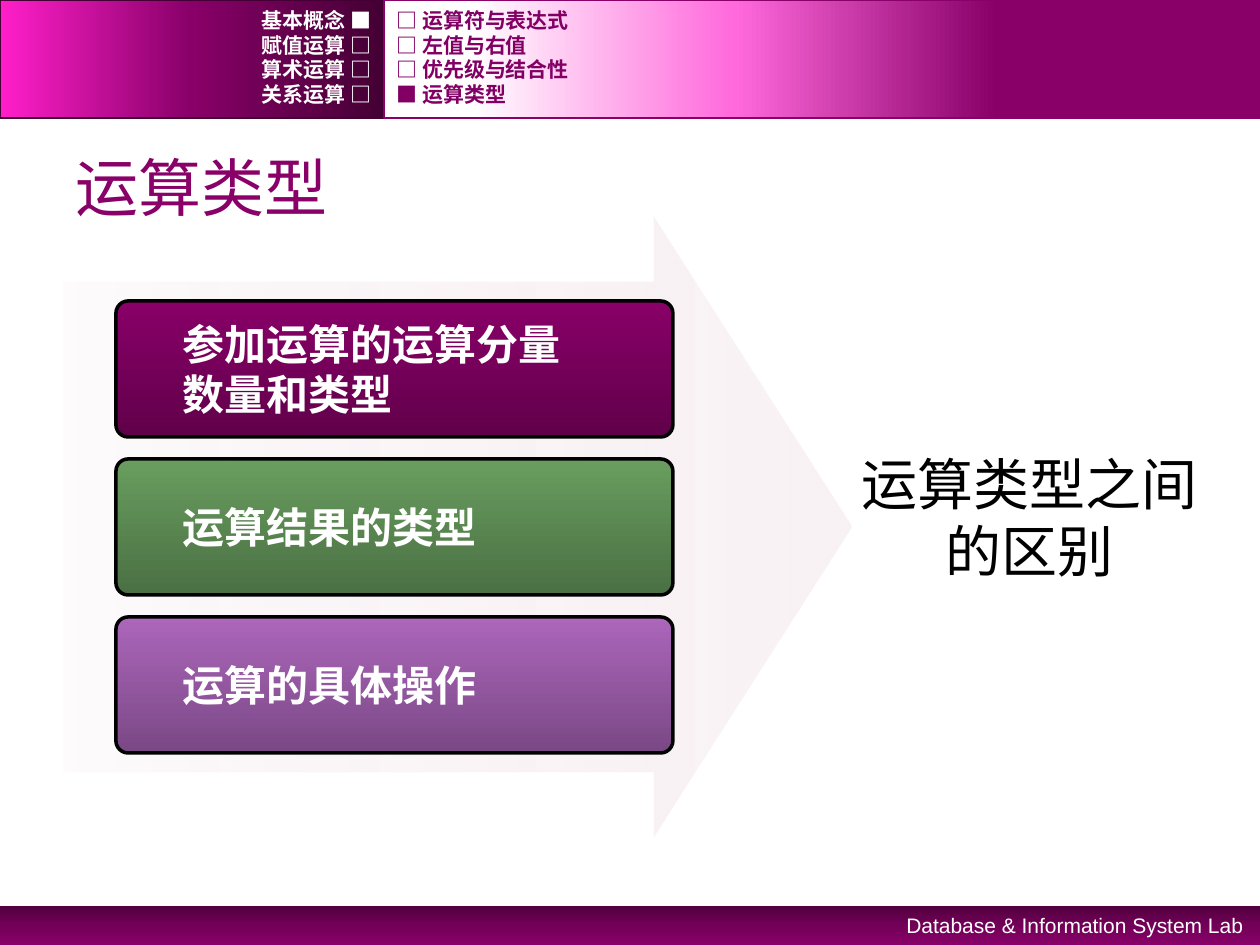
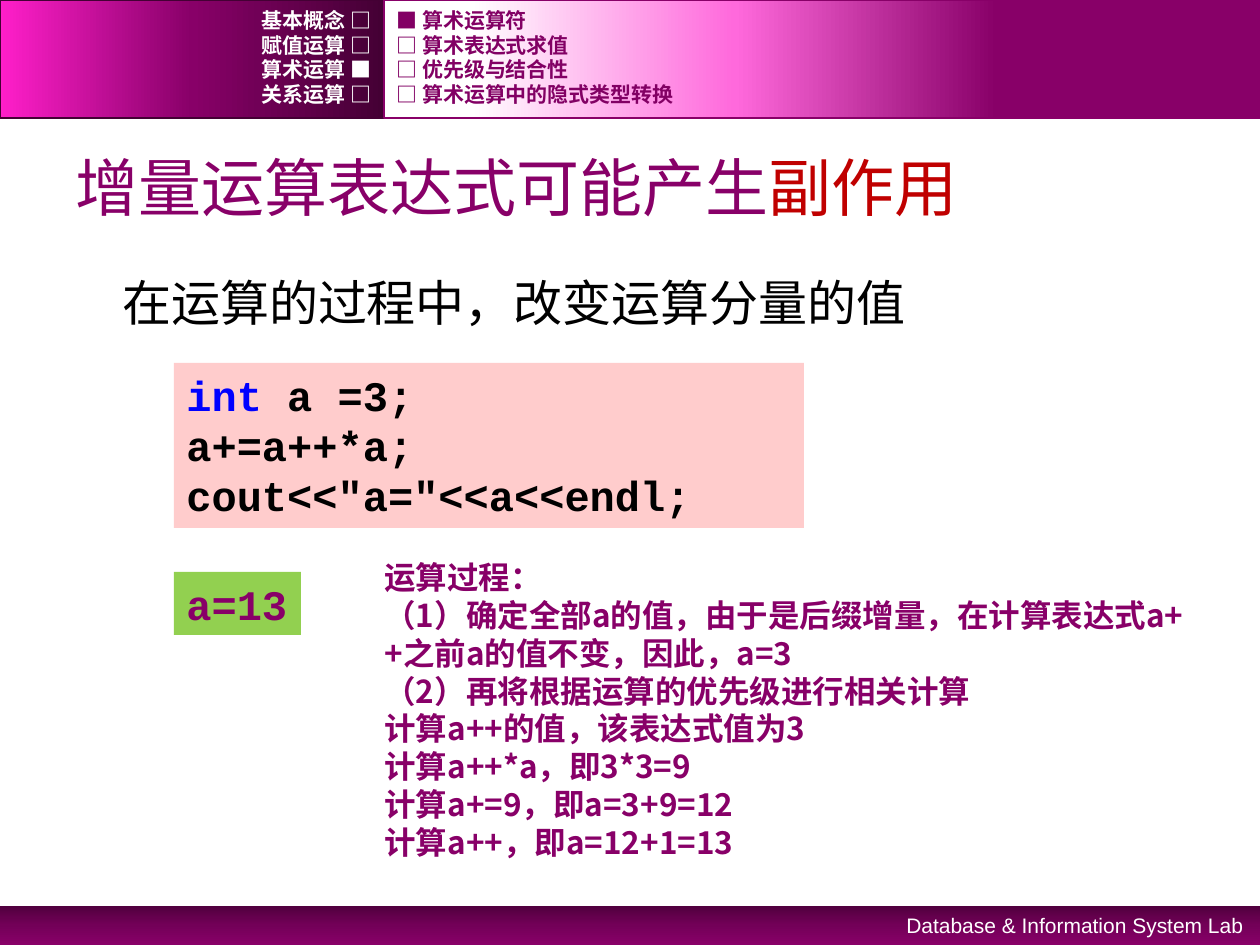
from lxml.etree import SubElement
from pptx import Presentation
from pptx.dml.color import RGBColor
from pptx.enum.shapes import MSO_SHAPE
from pptx.enum.text import MSO_ANCHOR, MSO_AUTO_SIZE, PP_ALIGN
from pptx.oxml.ns import qn
from pptx.util import Emu, Pt

HAN = "Noto Sans CJK SC"
MONO = "Courier New"
SANS = "Arial"
PLUM = "880068"
DARK = "440034"
WHITE = "FFFFFF"
BLACK = "000000"


def px(num):
    return Emu(round(num * 914400 / 126))


def rgb(code):
    return RGBColor.from_string(code)


def write(shape, lines, size=12, font=SANS, color=BLACK, bold=False,
          align=PP_ALIGN.LEFT, anchor=MSO_ANCHOR.TOP, wrap=True, grow=False,
          left=0, level=0, before=0, side=None):
    frame = shape.text_frame
    frame.word_wrap = wrap
    frame.vertical_anchor = anchor
    frame.auto_size = MSO_AUTO_SIZE.SHAPE_TO_FIT_TEXT if grow else MSO_AUTO_SIZE.NONE
    if side is not None:
        frame.margin_left = frame.margin_right = px(side)
    for num, line in enumerate(lines):
        para = frame.add_paragraph() if num else frame.paragraphs[0]
        para.alignment = align
        para.level = level
        para.space_before = Pt(before)
        if left:
            para._p.get_or_add_pPr().set("marL", str(px(left)))
        for words, tint in [(line, color)] if isinstance(line, str) else line:
            run = para.add_run()
            run.text = words
            run.font.size = Pt(size)
            run.font.bold = bold
            run.font.name = font
            run.font.color.rgb = rgb(tint)
            SubElement(run._r.rPr, qn("a:ea")).set("typeface", HAN)


class Deck:
    menu = ["基本概念", "赋值运算", "算术运算", "关系运算"]

    def __init__(self):
        self.file = Presentation()
        self.file.slide_width = px(1260)
        self.file.slide_height = px(945)

    def page(self, title, part, topics, topic):
        self.slide = self.file.slides.add_slide(self.file.slide_layouts[6])
        self.fade(self.shape(0, 906, 1260, 39), 270,
                  [(0, "51003E"), (50, "730058"), (100, PLUM)])
        self.fade(self.shape(0, 0, 384, 118, line=DARK), 180,
                  [(0, DARK), (50, PLUM), (100, "FF1FCA")])
        self.fade(self.shape(384, 0, 876, 118, line=PLUM), 180,
                  [(30, PLUM), (60, "FF69DC"), (90, WHITE)])
        self.text(809, 906, 447, 38, ["Database & Information System Lab"],
                  color=WHITE, align=PP_ALIGN.RIGHT, grow=True)
        self.text(63, 137, 1134, 98, [title], size=36, color=PLUM,
                  anchor=MSO_ANCHOR.MIDDLE)
        style = dict(font=MONO, bold=True, anchor=MSO_ANCHOR.MIDDLE)
        for num, (name, item) in enumerate(zip(self.menu, topics)):
            top = 8 + round(24.6 * num)
            self.text(0, top, 384, 25, [f"{name} {self.mark(num == part)}"],
                      color=WHITE, align=PP_ALIGN.RIGHT, **style)
            self.text(384, top, 759, 25, [f"{self.mark(num == topic)} {item}"],
                      color="820064", **style)

    def mark(self, here):
        return "■" if here else "□"

    def text(self, x, y, w, h, lines, **style):
        box = self.slide.shapes.add_textbox(px(x), px(y), px(w), px(h))
        write(box, lines, **style)

    def shape(self, x, y, w, h, kind=MSO_SHAPE.RECTANGLE, fill=None,
              line=None, thick=1, bends=()):
        shape = self.slide.shapes.add_shape(kind, px(x), px(y), px(w), px(h))
        shape.shadow.inherit = False
        for num, bend in enumerate(bends):
            shape.adjustments[num] = bend
        if fill:
            shape.fill.solid()
            shape.fill.fore_color.rgb = rgb(fill)
        else:
            shape.fill.background()
        if line:
            shape.line.color.rgb = rgb(line)
            shape.line.width = Pt(thick)
        else:
            shape.line.fill.background()
        return shape

    def fade(self, shape, angle, stops):
        shape.fill.gradient()
        shape.fill.gradient_angle = angle
        group = next(shape._element.spPr.iter(qn("a:gsLst")))
        for old in list(group):
            group.remove(old)
        for place, code, *extra in stops:
            stop = SubElement(group, qn("a:gs"), pos=str(place * 1000))
            tone = SubElement(stop, qn("a:srgbClr"), val=str(rgb(code)))
            for name, part in extra:
                SubElement(tone, qn(f"a:{name}"), val=str(part * 1000))

    def card(self, y, color, lines):
        card = self.shape(116, y, 557, 136, MSO_SHAPE.ROUNDED_RECTANGLE,
                          line=BLACK, thick=2, bends=[0.09])
        self.fade(card, 270, [(0, color), (100, color, ("shade", 46))])
        write(card, lines, size=24, font=HAN, color=WHITE, bold=True,
              anchor=MSO_ANCHOR.MIDDLE, wrap=False, left=63, level=1, side=0)

    def code(self, x, y, w, h, fill, lines, **style):
        box = self.shape(x, y, w, h, fill=fill)
        write(box, lines, size=24, font=MONO, bold=True, grow=True, **style)


deck = Deck()

deck.page("运算类型", 0, ["运算符与表达式", "左值与右值", "优先级与结合性", "运算类型"], 3)
arrow = deck.shape(63, 217, 788, 620, MSO_SHAPE.RIGHT_ARROW, bends=[0.79, 0.32])
deck.fade(arrow, 0, [(0, "F4E7ED", ("alpha", 15)), (100, "F9F2F5")])
cards = [
    (PLUM, ["参加运算的运算分量", "数量和类型"]),
    ("699D5F", ["运算结果的类型"]),
    ("AC66BB", ["运算的具体操作"]),
]
for num, (color, lines) in enumerate(cards):
    deck.card(301 + 158 * num, color, lines)
goal = deck.shape(839, 427, 382, 179, MSO_SHAPE.ROUNDED_RECTANGLE, bends=[0.09])
write(goal, ["运算类型之间的区别"], size=32, align=PP_ALIGN.CENTER,
      anchor=MSO_ANCHOR.MIDDLE)

deck.page([("增量运算表达式可能产生", PLUM), ("副作用", "C00000")], 2,
          ["算术运算符", "算术表达式求值", "优先级与结合性", "算术运算中的隐式类型转换"], 0)
deck.text(63, 266, 1134, 620, ["在运算的过程中，改变运算分量的值"],
          size=28, left=47, before=5.6)
deck.code(174, 363, 630, 165, "FFCCCC",
          [[("int ", "0000FF"), ("a =3;", BLACK)], "a+=a++*a;",
           'cout<<"a="<<a<<endl;'])
deck.code(174, 572, 127, 63, "92D050", ["a=13"], color=PLUM, wrap=False)
steps = [
    "运算过程：",
    "（1）确定全部a的值，由于是后缀增量，在计算表达式a++之前a的值不变，因此，a=3",
    "（2）再将根据运算的优先级进行相关计算",
    "计算a++的值，该表达式值为3",
    "计算a++*a，即3*3=9",
    "计算a+=9，即a=3+9=12",
    "计算a++，即a=12+1=13",
]
deck.text(372, 552, 824, 318, steps, size=18, font=HAN, color=PLUM,
          bold=True, grow=True)

deck.file.save("out.pptx")
